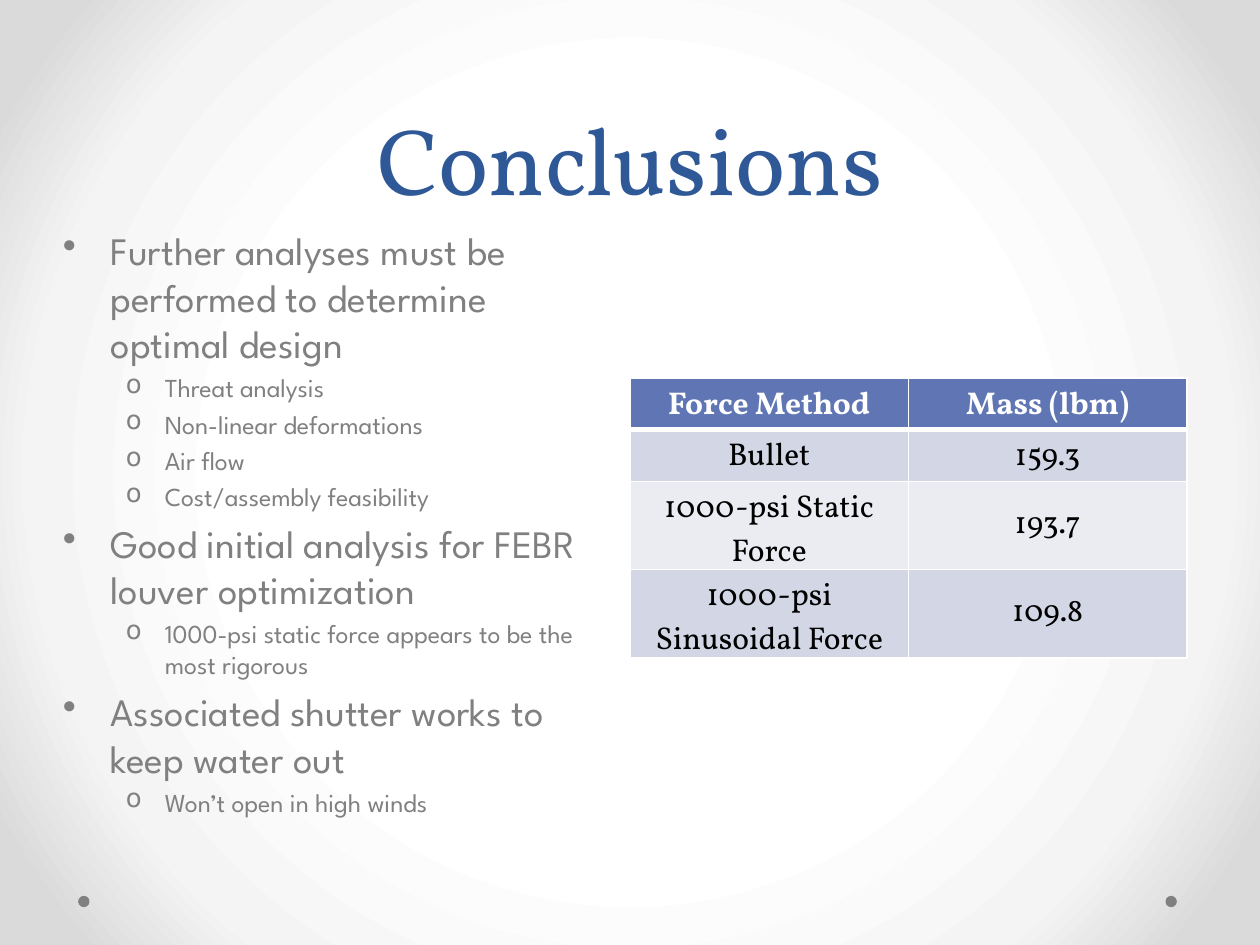
from lxml import etree
from pptx import Presentation
from pptx.dml.color import RGBColor
from pptx.enum.shapes import MSO_SHAPE
from pptx.enum.text import MSO_ANCHOR, PP_ALIGN
from pptx.oxml import parse_xml
from pptx.oxml.ns import nsdecls, qn
from pptx.util import Inches, Pt

OVAL = MSO_SHAPE.OVAL
CENTER, LEFT = PP_ALIGN.CENTER, PP_ALIGN.LEFT
BOTTOM, MIDDLE = MSO_ANCHOR.BOTTOM, MSO_ANCHOR.MIDDLE

WHITE = RGBColor(0xFF, 0xFF, 0xFF)
BLACK = RGBColor(0x00, 0x00, 0x00)
GRAY = RGBColor(0x80, 0x80, 0x80)
NAVY = RGBColor(0x2F, 0x58, 0x97)
HEADER_BLUE = RGBColor(0x60, 0x76, 0xB4)
BAND_DARK = RGBColor(0xD2, 0xD6, 0xE5)
BAND_LIGHT = RGBColor(0xEA, 0xEC, 0xF2)
GLOW_STOPS = [
    (0, WHITE),
    (50, WHITE),
    (76, RGBColor(0xF4, 0xF4, 0xF4)),
    (92, RGBColor(0xDA, 0xDA, 0xDA)),
    (100, RGBColor(0xDA, 0xDA, 0xDA)),
]

SERIF, SANS = "Vollkorn", "League Spartan"
BULLET_LEVELS = [("•", 0.38, 0.38, 22.2), ("o", 0.81, 0.31, 14.8)]

CONCLUSIONS = [
    (0, "Further analyses must be performed to determine optimal design"),
    (1, "Threat analysis"),
    (1, "Non-linear deformations"),
    (1, "Air flow"),
    (1, "Cost/assembly feasibility"),
    (0, "Good initial analysis for FEBR louver optimization"),
    (1, "1000-psi static force appears to be the most rigorous"),
    (0, "Associated shutter works to keep water out"),
    (1, "Won’t open in high winds"),
]
MASSES = [
    ("Force Method", "Mass (lbm)"),
    ("Bullet", "159.3"),
    ("1000-psi Static Force", "193.7"),
    ("1000-psi Sinusoidal Force", "109.8"),
]


class SlideBuilder:
    """Draws the elements of one slide in a shared style."""

    def __init__(self, page):
        self.page = page

    def glow_background(self, stops):
        self.page.background.fill.solid()
        properties = self.page.element.find(".//" + qn("p:bgPr"))
        stop_xml = "".join(
            f'<a:gs pos="{position * 1000}"><a:srgbClr val="{color}"/></a:gs>'
            for position, color in stops
        )
        gradient = parse_xml(
            f'<a:gradFill {nsdecls("a")} rotWithShape="1"><a:gsLst>{stop_xml}</a:gsLst>'
            '<a:path path="circle"><a:fillToRect l="50000" t="50000" r="50000" b="50000"/>'
            "</a:path></a:gradFill>"
        )
        properties.replace(properties.find(qn("a:solidFill")), gradient)

    def dot(self, left, top, size):
        shape = self.page.shapes.add_shape(
            OVAL, Inches(left), Inches(top), Inches(size), Inches(size)
        )
        shape.shadow.inherit = False
        shape.fill.solid()
        shape.fill.fore_color.rgb = GRAY
        shape.line.fill.background()

    def text_box(self, left, top, width, height):
        box = self.page.shapes.add_textbox(
            Inches(left), Inches(top), Inches(width), Inches(height)
        )
        box.text_frame.word_wrap = True
        return box.text_frame

    def style(self, para, font_name, size, color, align=CENTER, bold=False):
        para.alignment = align
        for span in para.runs:
            span.font.name = font_name
            span.font.size = Pt(size)
            span.font.color.rgb = color
            span.font.bold = bold

    def title(self, text, left, top, width, height):
        frame = self.text_box(left, top, width, height)
        frame.vertical_anchor = BOTTOM
        frame.text = text
        para = frame.paragraphs[0]
        para.line_spacing = Pt(58)
        self.style(para, SERIF, 54, NAVY)

    def bullets(self, items, left, top, width, height):
        frame = self.text_box(left, top, width, height)
        frame.text = "\n".join(text for _, text in items)
        for index, (para, (level, _)) in enumerate(zip(frame.paragraphs, items)):
            symbol, margin, hanging, size = BULLET_LEVELS[level]
            para.level = level
            properties = para._p.get_or_add_pPr()
            properties.set("marL", str(Inches(margin)))
            properties.set("indent", str(-Inches(hanging)))
            etree.SubElement(properties, qn("a:buChar"), char=symbol)
            if index:
                para.space_before = Pt(round(size * 0.2, 1))
            self.style(para, SANS, size, GRAY, LEFT)

    def borders(self, cell, top, bottom):
        properties = cell._tc.get_or_add_tcPr()
        widths = {"lnL": 1, "lnR": 1, "lnT": top, "lnB": bottom}
        for index, (side, width) in enumerate(widths.items()):
            line = parse_xml(
                f'<a:{side} {nsdecls("a")} w="{Pt(width)}"><a:solidFill>'
                f'<a:srgbClr val="{WHITE}"/></a:solidFill></a:{side}>'
            )
            properties.insert(index, line)

    def table(self, rows, left, top, width, row_height):
        table = self.page.shapes.add_table(
            len(rows), len(rows[0]), Inches(left), Inches(top),
            Inches(width), Inches(row_height * len(rows)),
        ).table
        for row_index, row in enumerate(rows):
            header = row_index == 0
            band = BAND_DARK if row_index % 2 else BAND_LIGHT
            for column_index, text in enumerate(row):
                cell = table.cell(row_index, column_index)
                cell.text = text
                cell.vertical_anchor = MIDDLE
                cell.fill.solid()
                cell.fill.fore_color.rgb = HEADER_BLUE if header else band
                self.borders(cell, 3 if row_index == 1 else 1, 3 if header else 1)
                color = WHITE if header else BLACK
                self.style(cell.text_frame.paragraphs[0], SERIF, 18, color, bold=header)


def main():
    deck = Presentation()
    deck.slide_width, deck.slide_height = Inches(10), Inches(7.5)
    builder = SlideBuilder(deck.slides.add_slide(deck.slide_layouts[6]))
    builder.glow_background(GLOW_STOPS)
    for left in (9.25, 0.62):
        builder.dot(left, 7.11, 0.09)
    builder.title("Conclusions", 0.5, 0, 9, 1.75)
    builder.table(MASSES, 5, 3, 4.42, 0.41)
    builder.bullets(CONCLUSIONS, 0.4, 1.75, 4.42, 4.95)
    deck.save("out.pptx")


if __name__ == "__main__":
    main()
